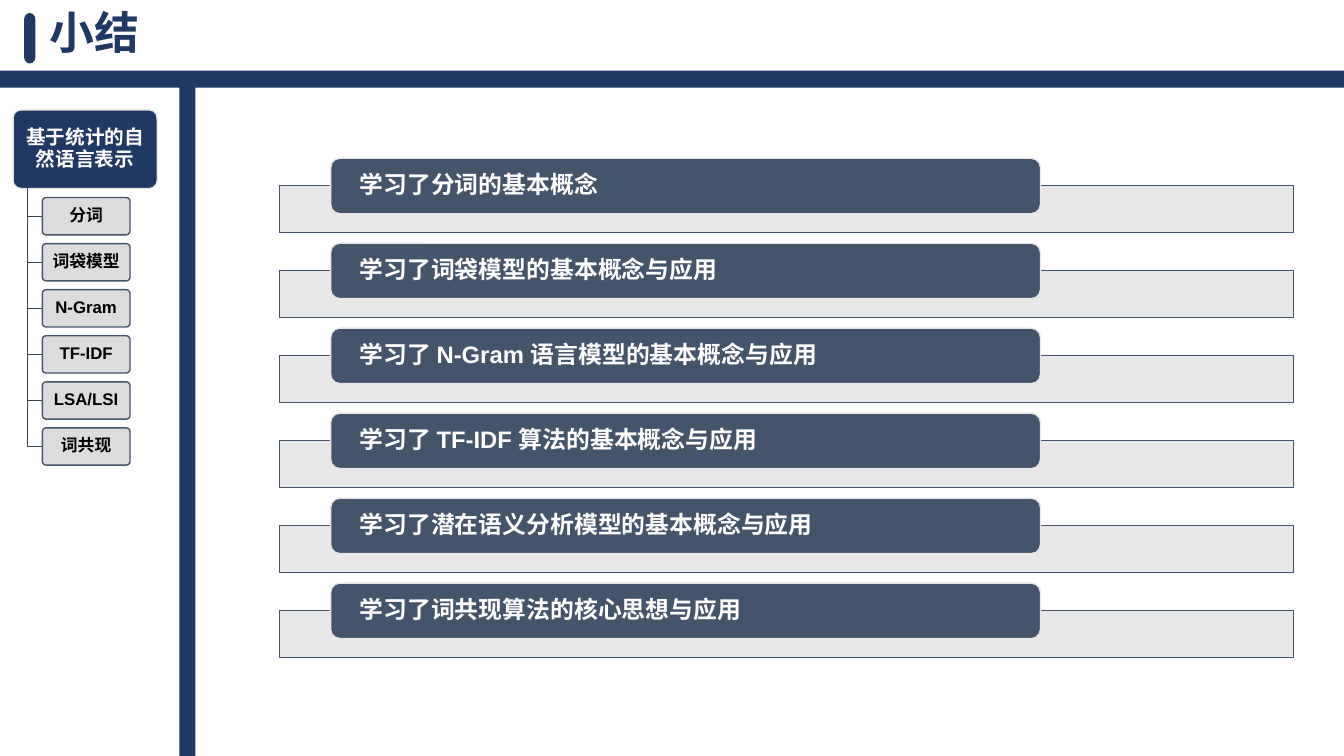
from lxml import etree
from pptx import Presentation
from pptx.dml.color import RGBColor
from pptx.enum.shapes import MSO_SHAPE as Kind
from pptx.enum.text import MSO_ANCHOR as Anchor, PP_ALIGN as Align
from pptx.oxml.ns import qn
from pptx.util import Inches, Pt

# Content
TITLE = "小结"
ROOT = "基于统计的自然语言表示"
TOPICS = ["分词", "词袋模型", "N-Gram", "TF-IDF", "LSA/LSI", "词共现"]
POINTS = [
    "学习了分词的基本概念",
    "学习了词袋模型的基本概念与应用",
    "学习了 N-Gram 语言模型的基本概念与应用",
    "学习了 TF-IDF 算法的基本概念与应用",
    "学习了潜在语义分析模型的基本概念与应用",
    "学习了词共现算法的核心思想与应用",
]

# Colours
NAVY, SLATE, WIRE = "203864", "44546A", "364355"
PALE, GREY, WHITE, BLACK = "E7E6E6", "D9D9D9", "FFFFFF", "000000"

deck = Presentation()
deck.slide_width, deck.slide_height = Inches(13.33), Inches(7.5)
slide = deck.slides.add_slide(deck.slide_layouts[6])


def paint(part, color, alpha=None):
    part.solid()
    part.fore_color.rgb = RGBColor.from_string(color)
    if alpha:
        clr = part._xPr.find(qn("a:solidFill"))[0]
        etree.SubElement(clr, qn("a:alpha")).set("val", str(alpha * 1000))


def outline(shape, color):
    if color:
        paint(shape.line.fill, color)
        shape.line.width = Pt(1)
    else:
        shape.line.fill.background()


def block(kind, x, y, w, h, fill, line=None, alpha=None, adj=None):
    shape = slide.shapes.add_shape(kind, Inches(x), Inches(y), Inches(w), Inches(h))
    shape.shadow.inherit = False
    paint(shape.fill, fill, alpha)
    outline(shape, line)
    if adj:
        shape.adjustments[0] = adj
    return shape


def write(shape, text, size, color, align=Align.CENTER, side=0.05, edge=0.04):
    frame = shape.text_frame
    frame.word_wrap = True
    frame.vertical_anchor = Anchor.MIDDLE
    frame.margin_left = frame.margin_right = Inches(side)
    frame.margin_top = frame.margin_bottom = Inches(edge)
    para = frame.paragraphs[0]
    para.alignment, para.line_spacing = align, 0.9
    run = para.add_run()
    run.text = text
    font = run.font
    font.name, font.size, font.bold = "Arial", Pt(size), True
    font.color.rgb = RGBColor.from_string(color)


def branch(x, top, end, y):
    pen = slide.shapes.build_freeform(Inches(x), Inches(top))
    pen.add_line_segments([(Inches(x), Inches(y)), (Inches(end), Inches(y))], close=False)
    shape = pen.convert_to_shape()
    shape.shadow.inherit = False
    shape.fill.background()
    outline(shape, WIRE)


# Frame and title
block(Kind.RECTANGLE, 0, 0.7, 13.33, 0.17, NAVY)
block(Kind.RECTANGLE, 1.78, 0.75, 0.16, 6.75, NAVY)
block(Kind.ROUNDED_RECTANGLE, 0.24, 0.13, 0.11, 0.5, NAVY, adj=0.5)
head = slide.shapes.add_textbox(Inches(0.39), Inches(0.1), Inches(11.5), Inches(0.5))
write(head, TITLE, 32, NAVY, align=Align.LEFT, side=0.1, edge=0.05)

# Summary points
for i, point in enumerate(POINTS):
    y = 1.57 + i * 0.843
    block(Kind.RECTANGLE, 2.77, y + 0.27, 10.06, 0.47, PALE, SLATE, alpha=90)
    bar = block(Kind.ROUNDED_RECTANGLE, 3.28, y, 7.04, 0.55, SLATE, PALE)
    write(bar, point, 17, WHITE, align=Align.LEFT, side=0.26, edge=0)

# Topic tree
root = block(Kind.ROUNDED_RECTANGLE, 0.13, 1.09, 1.43, 0.78, NAVY, PALE, adj=0.1)
write(root, ROOT, 14, WHITE)
for i, topic in enumerate(TOPICS):
    y = 1.96 + i * 0.457
    branch(0.27, 1.87, 0.42, y + 0.185)
    leaf = block(Kind.ROUNDED_RECTANGLE, 0.42, y, 0.87, 0.37, GREY, SLATE, alpha=90, adj=0.1)
    write(leaf, topic, 12, BLACK)

deck.save("out.pptx")
